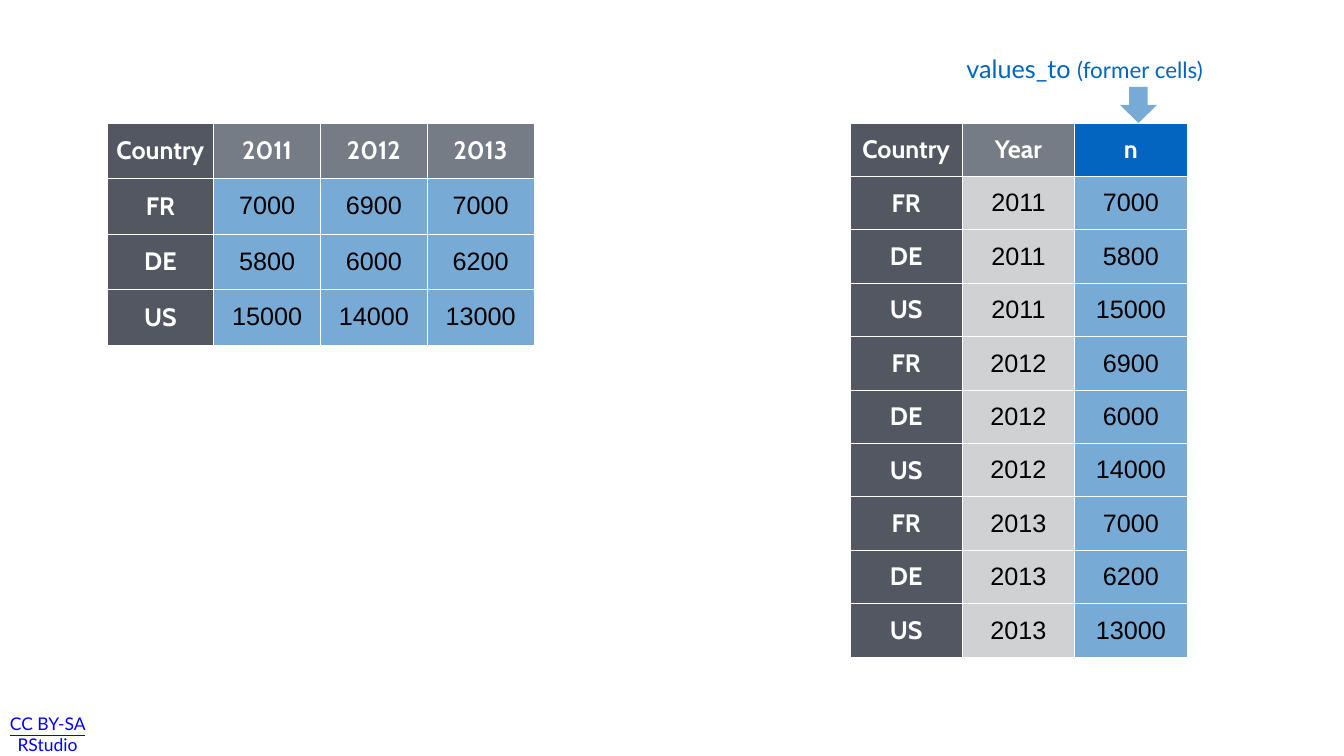
from lxml.etree import SubElement
from pptx import Presentation
from pptx.dml.color import RGBColor
from pptx.enum.shapes import MSO_SHAPE as SHAPE
from pptx.enum.text import MSO_ANCHOR as ANCHOR, PP_ALIGN as ALIGN
from pptx.oxml.ns import qn
from pptx.util import Pt

PX = 914400 / 50.4
DARK, GREY, PALE = "535761", "767C85", "D0D1D2"
BLUE, SKY, LINK = "0365C0", "78AAD6", "0000FF"
WHITE, BLACK = "FFFFFF", "000000"

YEARS = ["2011", "2012", "2013"]
CELLS = {
    "FR": ["7000", "6900", "7000"],
    "DE": ["5800", "6000", "6200"],
    "US": ["15000", "14000", "13000"],
}
WIDE = [["Country", *YEARS]] + [[c, *values] for c, values in CELLS.items()]
LONG = [["Country", "Year", "n"]] + [
    [c, year, values[i]] for i, year in enumerate(YEARS) for c, values in CELLS.items()
]

# rows, box in px, header fill and body fill of each column
TABLES = [
    (WIDE, (107, 123, 427, 222), [DARK, GREY, GREY, GREY], [DARK, SKY, SKY, SKY]),
    (LONG, (850, 123, 337, 534), [DARK, GREY, BLUE], [DARK, PALE, SKY]),
]
# runs as (text, size), box in px, alignment, colour, underline
TEXTS = [
    ([("CC BY-SA RStudio", 25)], (4, 719, 87, 30), ALIGN.CENTER, LINK, True),
    ([("values_to ", 36), ("(former cells)", 32)], (850, 43, 357, 50),
     ALIGN.RIGHT, BLUE, False),
]
ARROW = (1120, 87, 37, 36)


def px(n):
    return round(n * PX)


def rgb(value):
    return RGBColor.from_string(value)


def style(font, size, name, color, bold=False):
    font.size, font.name, font.bold = Pt(size), name, bold
    font.color.rgb = rgb(color)


def add_borders(cell, color, width):
    """Draw all four edges; they must come before the fill in the cell properties."""
    props = cell._tc.get_or_add_tcPr()
    for edge in ("lnL", "lnR", "lnT", "lnB"):
        ln = SubElement(props, qn(f"a:{edge}"), w=str(Pt(width)))
        SubElement(SubElement(ln, qn("a:solidFill")), qn("a:srgbClr"), val=color)


def fill_cell(cell, text, fill, is_label):
    add_borders(cell, WHITE, 1)
    cell.fill.solid()
    cell.fill.fore_color.rgb = rgb(fill)
    cell.vertical_anchor = ANCHOR.MIDDLE
    cell.margin_left = cell.margin_right = cell.margin_top = cell.margin_bottom = px(3)
    cell.text_frame.text = text
    p = cell.text_frame.paragraphs[0]
    p.alignment = ALIGN.CENTER
    name, color = ("Cabin", WHITE) if is_label else ("Arial", BLACK)
    style(p.runs[0].font, 36, name, color, is_label)


def add_table(s, rows, box, header_fills, body_fills):
    x, y, w, h = box
    table = s.shapes.add_table(len(rows), len(rows[0]), *map(px, box)).table
    for col in table.columns:
        col.width = px(w / len(rows[0]))
    for row in table.rows:
        row.height = px(h / len(rows))
    for i, row in enumerate(rows):
        fills = body_fills if i else header_fills
        for j, text in enumerate(row):
            fill_cell(table.cell(i, j), text, fills[j], i == 0 or j == 0)


def add_text(s, runs, box, align, color, underline):
    tf = s.shapes.add_textbox(*map(px, box)).text_frame
    tf.word_wrap = True
    tf.vertical_anchor = ANCHOR.MIDDLE
    tf.margin_left = tf.margin_right = tf.margin_top = tf.margin_bottom = px(4)
    p = tf.paragraphs[0]
    p.alignment = align
    for text, size in runs:
        r = p.add_run()
        r.text = text
        style(r.font, size, "Lato", color)
        r.font.underline = underline


prs = Presentation()
prs.slide_width, prs.slide_height = px(1344), px(756)
s = prs.slides.add_slide(prs.slide_layouts[6])

for table in TABLES:
    add_table(s, *table)
for text in TEXTS:
    add_text(s, *text)

arrow = s.shapes.add_shape(SHAPE.DOWN_ARROW, *map(px, ARROW))
arrow.shadow.inherit = False
arrow.fill.solid()
arrow.fill.fore_color.rgb = rgb(SKY)
arrow.line.fill.background()

prs.save("out.pptx")
